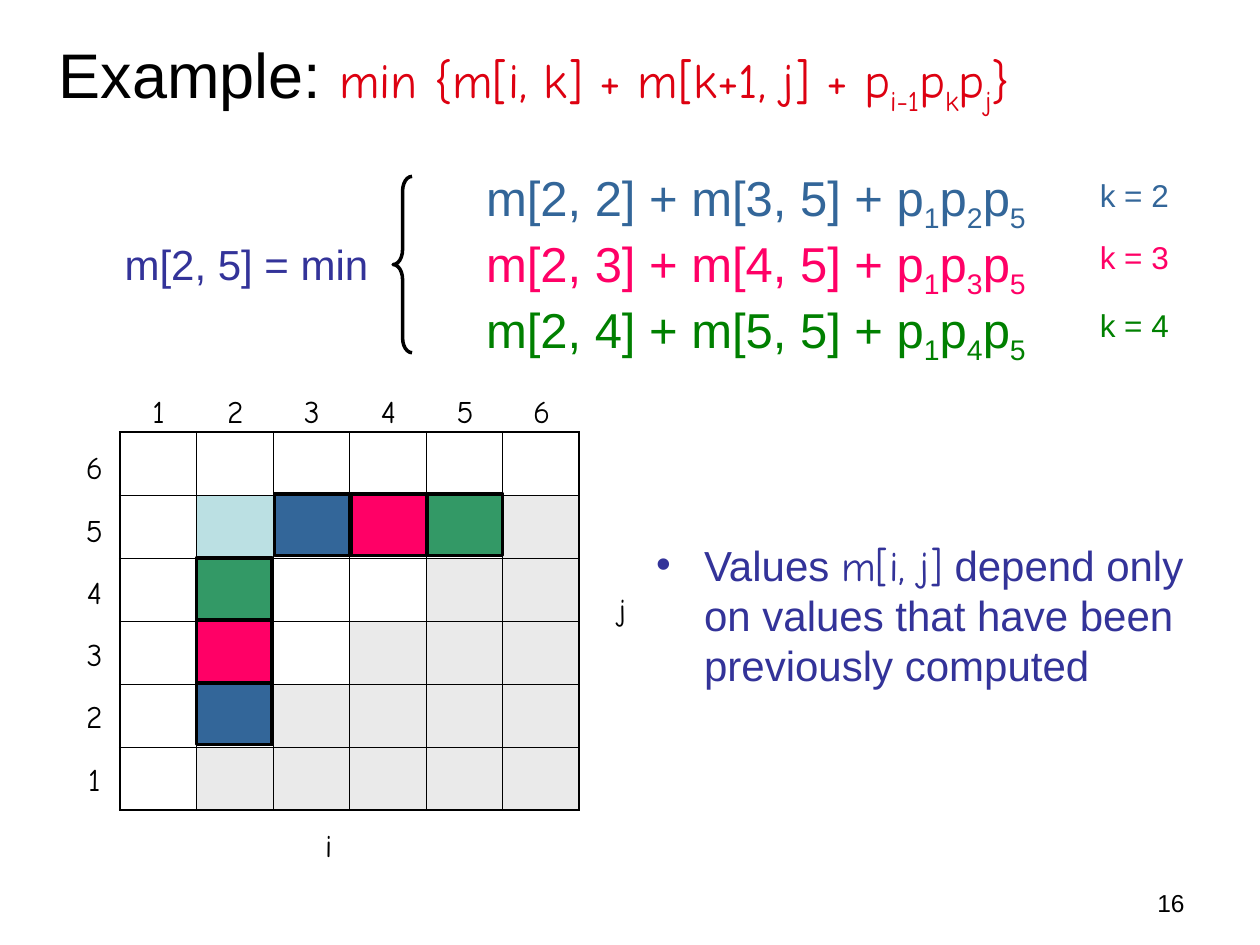
from dataclasses import dataclass
from typing import Any

from lxml.etree import SubElement
from pptx import Presentation
from pptx.dml.color import RGBColor
from pptx.enum.shapes import MSO_SHAPE
from pptx.enum.text import MSO_ANCHOR, PP_ALIGN
from pptx.oxml.ns import qn
from pptx.util import Inches, Pt

BLACK, INDIGO, RED = "000000", "333399", "DD0111"
BLUE, PINK, GREEN, SEA_GREEN = "336699", "FF0066", "008000", "339966"
PALE_BLUE, GRAY = "BBE0E3", "EAEAEA"
SANS, HAND = "Arial", "Comic Neue"
GRID_SIZE = 6
COLUMN_WIDTH, ROW_HEIGHT = 0.608, 0.5


@dataclass
class Span:
    text: str
    size: float
    color: str
    font: str = SANS


@dataclass
class Option:
    k: int
    formula: str
    color: str
    cell_color: str
    label_top: float


OPTIONS = [
    Option(2, "m[2, 2] + m[3, 5] + p|1|p|2|p|5", BLUE, BLUE, 1.35),
    Option(3, "m[2, 3] + m[4, 5] + p|1|p|3|p|5", PINK, PINK, 1.84),
    Option(4, "m[2, 4] + m[5, 5] + p|1|p|4|p|5", GREEN, SEA_GREEN, 2.38),
]


def rgb(color: str) -> RGBColor:
    return RGBColor.from_string(color)


def apply_format(target: Any, values: dict[str, Any]) -> None:
    for attribute, value in values.items():
        setattr(target, attribute, value)


def add_spans(paragraph: Any, spans: list[Span]) -> None:
    for span in spans:
        for index, part in enumerate(span.text.split("|")):
            if not part:
                continue
            run = paragraph.add_run()
            run.text = part
            apply_format(run.font, {"size": Pt(span.size), "name": span.font})
            run.font.color.rgb = rgb(span.color)
            if index % 2:
                run.font._element.set("baseline", "-25000")


def add_text(slide: Any, left: float, top: float, width: float, height: float,
             lines: list[list[Span]], frame_format: dict[str, Any] | None = None,
             paragraph_format: dict[str, Any] | None = None, gap: float = 0) -> Any:
    box = slide.shapes.add_textbox(Inches(left), Inches(top), Inches(width), Inches(height))
    frame = box.text_frame
    apply_format(frame, {"word_wrap": True, **(frame_format or {})})
    for index, spans in enumerate(lines):
        paragraph = frame.paragraphs[0] if index == 0 else frame.add_paragraph()
        apply_format(paragraph, paragraph_format or {})
        if index:
            paragraph.space_before = Pt(gap)
        add_spans(paragraph, spans)
    return frame


def add_bullet(paragraph: Any, color: str) -> None:
    properties = paragraph._p.get_or_add_pPr()
    apply_indent = {"marL": Inches(0.38), "indent": Inches(-0.38)}
    for name, length in apply_indent.items():
        properties.set(name, str(int(length)))
    bullet_color = SubElement(properties, qn("a:buClr"))
    SubElement(bullet_color, qn("a:srgbClr"), val=color)
    SubElement(properties, qn("a:buFont"), typeface=SANS)
    SubElement(properties, qn("a:buChar"), char="•")


def add_borders(cell: Any, row: int, column: int) -> None:
    last = GRID_SIZE - 1
    outer_sides = {"a:lnL": column == 0, "a:lnR": column == last,
                   "a:lnT": row == 0, "a:lnB": row == last}
    properties = cell._tc.get_or_add_tcPr()
    for position, (tag, outer) in enumerate(outer_sides.items()):
        border = SubElement(properties, qn(tag), w=str(int(Pt(1.08 if outer else 0.45))))
        fill = SubElement(border, qn("a:solidFill"))
        SubElement(fill, qn("a:srgbClr"), val=BLACK)
        properties.insert(position, border)


def cell_color(row: int, column: int) -> str | None:
    i, j = column + 1, GRID_SIZE - row
    if (i, j) == (2, 5):
        return PALE_BLUE
    return GRAY if i > j else None


def add_grid(slide: Any) -> None:
    grid = slide.shapes.add_table(
        GRID_SIZE, GRID_SIZE, Inches(0.95), Inches(3.43),
        Inches(GRID_SIZE * COLUMN_WIDTH), Inches(GRID_SIZE * ROW_HEIGHT)).table
    apply_format(grid, {"first_row": False, "horz_banding": False})
    for column in grid.columns:
        column.width = Inches(COLUMN_WIDTH)
    for row in range(GRID_SIZE):
        grid.rows[row].height = Inches(ROW_HEIGHT)
        for column in range(GRID_SIZE):
            cell = grid.cell(row, column)
            color = cell_color(row, column)
            if color:
                cell.fill.solid()
                cell.fill.fore_color.rgb = rgb(color)
            else:
                cell.fill.background()
            add_borders(cell, row, column)


def add_axis_label(slide: Any, text: str, center: float, top: float) -> None:
    add_text(slide, center - 0.2, top, 0.4, 0.4, [[Span(text, 18, BLACK, HAND)]],
             {"word_wrap": False}, {"alignment": PP_ALIGN.CENTER})


def add_outlined(slide: Any, kind: MSO_SHAPE, left: float, top: float,
                 width: float, height: float, fill: str | None = None) -> Any:
    shape = slide.shapes.add_shape(kind, Inches(left), Inches(top), Inches(width), Inches(height))
    shape.shadow.inherit = False
    shape.line.color.rgb = rgb(BLACK)
    shape.line.width = Pt(2)
    if fill:
        shape.fill.solid()
        shape.fill.fore_color.rgb = rgb(fill)
    else:
        shape.fill.background()
    return shape


def main() -> None:
    presentation = Presentation()
    apply_format(presentation, {"slide_width": Inches(10), "slide_height": Inches(7.5)})
    slide = presentation.slides.add_slide(presentation.slide_layouts[6])

    add_text(slide, 7.17, 7, 2.33, 0.35, [[Span("16", 14, BLACK)]],
             paragraph_format={"alignment": PP_ALIGN.RIGHT})
    recurrence = "min {m[i, k] + m[k+1, j] + p|i-1|p|k|p|j|}"
    add_text(slide, 0.37, 0.11, 9, 0.99,
             [[Span("Example: ", 36, BLACK), Span(recurrence, 28, RED, HAND)]],
             {"vertical_anchor": MSO_ANCHOR.MIDDLE})

    add_text(slide, 0.89, 1.84, 2.57, 0.68, [[Span("m[2, 5] = min", 24, INDIGO)]])
    brace = add_outlined(slide, MSO_SHAPE.LEFT_BRACE, 3.12, 1.4, 0.15, 1.4)
    brace.adjustments[0] = 0.78
    add_text(slide, 3.76, 1.33, 4.8, 1.61,
             [[Span(option.formula, 28, option.color)] for option in OPTIONS],
             paragraph_format={"line_spacing": 0.8}, gap=7)

    add_grid(slide)
    for index in range(GRID_SIZE):
        add_axis_label(slide, str(index + 1), 1.26 + index * COLUMN_WIDTH, 3.06)
        add_axis_label(slide, str(GRID_SIZE - index), 0.75, 3.51 + index * 0.494)
    add_axis_label(slide, "i", 2.61, 6.51)
    add_axis_label(slide, "j", 4.94, 4.63)

    for index, option in enumerate(OPTIONS):
        add_text(slide, 8.63, option.label_top, 0.75, 0.4,
                 [[Span(f"k = {option.k}", 18, option.color)]], {"word_wrap": False})
        dependencies = [(1.56, 5.42 - index * 0.495), (2.18 + index * 0.605, 3.92)]
        for left, top in dependencies:
            add_outlined(slide, MSO_SHAPE.RECTANGLE, left, top, 0.6, 0.49, option.cell_color)

    remark = add_text(slide, 5.11, 4.23, 4.65, 2.57, [[
        Span("Values ", 24, INDIGO), Span("m[i, j]", 24, INDIGO, HAND),
        Span(" depend only on values that have been previously computed", 24, INDIGO)]])
    add_bullet(remark.paragraphs[0], INDIGO)

    presentation.save("out.pptx")


if __name__ == "__main__":
    main()
